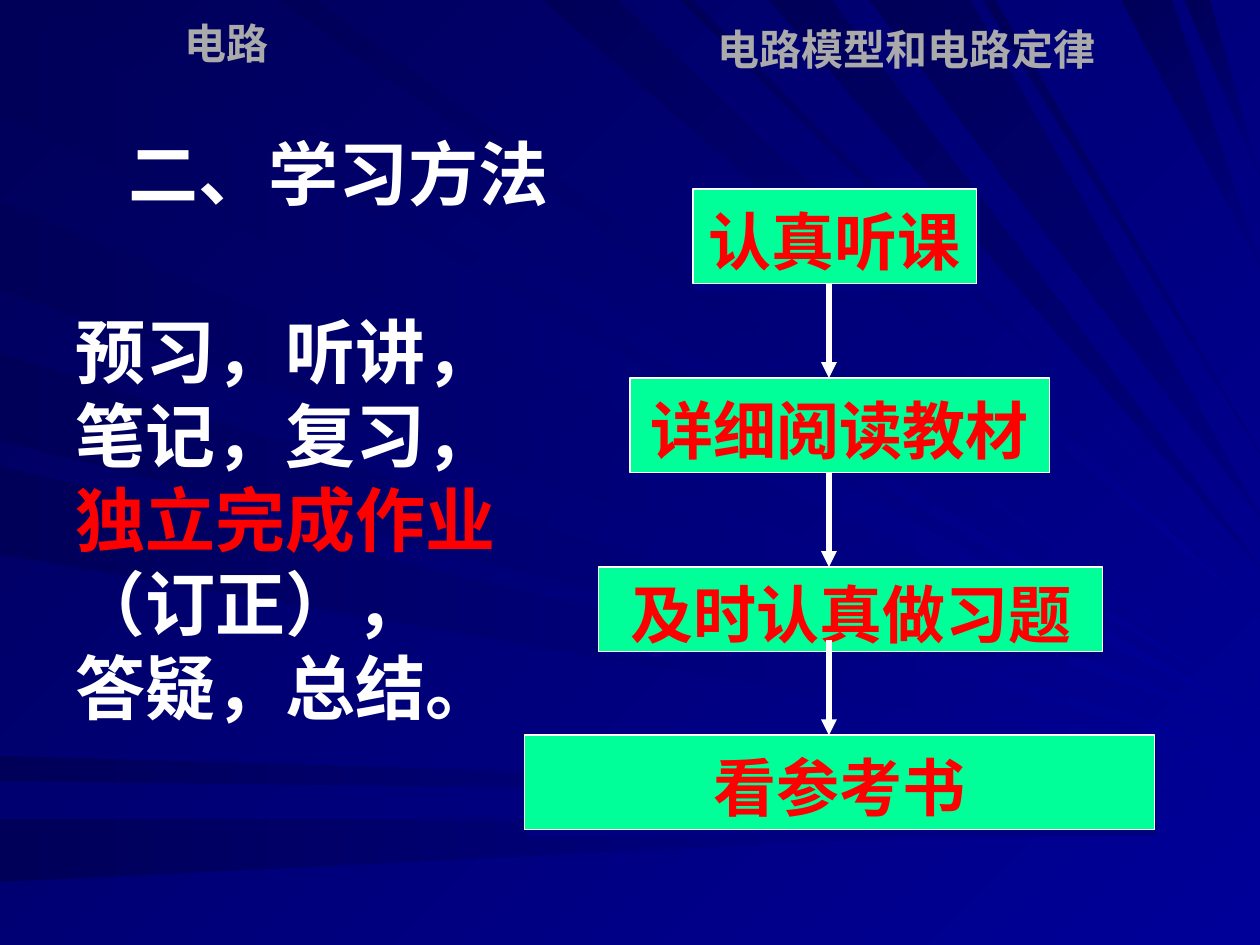
from dataclasses import dataclass

from lxml import etree
from pptx import Presentation
from pptx.dml.color import RGBColor
from pptx.enum.shapes import MSO_CONNECTOR, MSO_SHAPE
from pptx.enum.text import MSO_ANCHOR, MSO_AUTO_SIZE, PP_ALIGN
from pptx.oxml.ns import qn
from pptx.util import Cm, Pt

RECT, LINE = MSO_SHAPE.RECTANGLE, MSO_CONNECTOR.STRAIGHT
TOP, MIDDLE = MSO_ANCHOR.TOP, MSO_ANCHOR.MIDDLE
LEFT, CENTER = PP_ALIGN.LEFT, PP_ALIGN.CENTER
FIXED = MSO_AUTO_SIZE.NONE


@dataclass(frozen=True)
class Theme:
    font: str = "Noto Sans CJK SC"
    white: str = "FFFFFF"
    red: str = "FF0000"
    green: str = "00FF99"
    gray: str = "AAAAAA"
    night: str = "000058"
    blue: str = "000099"
    shade: str = "000080"
    head: int = 24
    step: int = 36
    main: int = 40


THEME = Theme()

# Rays run from a stretch of the left or top edge to a tip on the right edge;
# start, end and tip are in hundredths of the slide's width
GRID = Cm(0.25)
SIDE = [(0, 9, 57), (16, 23, 58), (28, 35, 60), (37, 44, 61), (60, 62, 63), (65, 70, 65)]
OVER = [(3, 10, 56), (22, 25, 55), (43, 49, 49), (54, 55, 46), (61, 66, 45),
        (69, 77, 41), (78, 79, 36), (89, 93, 21), (94, 96, 14)]

# Steps of the chart: text, left, top, width, height in cm
TALL = 1.91
STEPS = [
    ("认真听课", 13.97, 3.81, 5.72, TALL),
    ("详细阅读教材", 12.7, 7.62, 8.46, TALL),
    ("及时认真做习题", 12.07, 11.43, 10.16, 1.7),
    ("看参考书", 10.58, 14.82, 12.7, TALL),
]


def rgb(code):
    return RGBColor.from_string(code)


def blend(fill, first, last, angle):
    fill.gradient()
    fill.gradient_angle = -angle % 360
    for stop, code in zip(fill.gradient_stops, (first, last)):
        stop.color.rgb = rgb(code)


def place(shape, x, y, w, h):
    shape.left, shape.top, shape.width, shape.height = Cm(x), Cm(y), Cm(w), Cm(h)


def write(shape, paras, size, color, align=LEFT, anchor=TOP, wrap=True):
    """Each paragraph is a list of (text, colour or None) runs."""
    frame = shape.text_frame
    frame.word_wrap, frame.auto_size = wrap, FIXED
    frame.vertical_anchor = anchor
    frame.margin_left = frame.margin_right = Cm(0.25)
    frame.margin_bottom = Cm(0.13)
    frame.margin_top = Cm(0.13) + Pt(0.12 * size)  # evens out the fixed line height
    for i, runs in enumerate(paras):
        para = frame.add_paragraph() if i else frame.paragraphs[0]
        para.alignment = align
        para.line_spacing = Pt(1.2 * size)
        para.space_before = para.space_after = Pt(0)
        for text, tint in runs:
            run = para.add_run()
            run.text = text
            font = run.font
            font.name, font.size, font.bold = THEME.font, Pt(size), True
            font.color.rgb = rgb(tint or color)
            etree.SubElement(font._element, qn("a:ea"), typeface=THEME.font)


def lift(shape):
    shape.element.getparent().append(shape.element)


def plain(shape):
    for para in shape.text_frame.paragraphs:
        props = para._p.get_or_add_pPr()
        props.set("marL", "0")
        props.set("indent", "0")
        etree.SubElement(props, qn("a:buNone"))


def add_ray(shapes, start, end, tip, last, angle):
    form = shapes.build_freeform(*start, scale=Cm(25.4) / 100)
    form.add_line_segments([end, (100, tip)], close=True)
    ray = form.convert_to_shape()
    ray.shadow.inherit = False
    ray.line.fill.background()
    blend(ray.fill, THEME.night, last, angle)


def add_rays(shapes):
    for a, b, tip in SIDE:
        add_ray(shapes, (0, a), (0, b), tip, THEME.blue, 0)
    for a, b, tip in OVER:
        last = THEME.shade if tip < 46 else THEME.blue
        add_ray(shapes, (a, 0), (b, 0), tip, last, 45)


def add_head(shapes, text, *spot):
    box = shapes.add_textbox(0, 0, 0, 0)
    place(box, *spot)
    write(box, [[(text, None)]], THEME.head, THEME.gray, wrap=False)


def add_step(shapes, text, *spot):
    box = shapes.add_shape(RECT, 0, 0, 0, 0)
    place(box, *spot)
    box.fill.solid()
    box.fill.fore_color.rgb = rgb(THEME.green)
    box.line.color.rgb, box.line.width = rgb(THEME.white), Pt(0.75)
    box.shadow.inherit = False
    effects = box.element.spPr.find(qn("a:effectLst"))
    cast = etree.SubElement(effects, qn("a:outerShdw"), dist=str(Pt(3.2)), dir=str(72 * 60000))
    etree.SubElement(cast, qn("a:srgbClr"), val=THEME.shade)
    write(box, [[(text, None)]], THEME.step, THEME.red, align=CENTER, anchor=MIDDLE, wrap=False)


def add_arrow(shapes, x, y, drop):
    arrow = shapes.add_connector(LINE, Cm(x), Cm(y), Cm(x), Cm(y + drop))
    arrow.line.color.rgb, arrow.line.width = rgb(THEME.white), Pt(3)
    etree.SubElement(arrow.line._get_or_add_ln(), qn("a:tailEnd"), type="triangle")
    etree.SubElement(arrow.element.spPr, qn("a:effectLst"))


def main():
    deck = Presentation()
    deck.slide_width, deck.slide_height = Cm(25.4), Cm(19.05)
    slide = deck.slides.add_slide(deck.slide_layouts[1])
    shapes = slide.shapes

    # Backdrop
    blend(slide.background.fill, THEME.night, THEME.blue, 45)
    add_rays(shapes)

    # Course and chapter
    add_head(shapes, "电路", 3.48, 0.13, 2.21, 0.86)
    add_head(shapes, "电路模型和电路定律", 14.22, 0.25, 8.13, 0.86)

    # Title and habits
    title, body = shapes.title, slide.placeholders[1]
    place(title, 2.34, 2.34, 10.36, 1.96)
    write(title, [[("二、学习方法", None)]], THEME.main, THEME.white)
    place(body, 1.27, 5.92, 9.53, 8.74)
    habits = [
        [("预习，听讲，笔记，复习，", None), ("独立完成作业", THEME.red), ("（订正），", None)],
        [("答疑，总结。", None)],
    ]
    write(body, habits, THEME.main, THEME.white)
    plain(body)
    lift(title)
    lift(body)

    # Flow chart: each arrow ends on the next step
    for step in STEPS:
        add_step(shapes, *step)
    for _, _, top, _, _ in STEPS[1:]:
        add_arrow(shapes, 16.71, top - TALL, TALL)

    deck.save("out.pptx")


if __name__ == "__main__":
    main()
